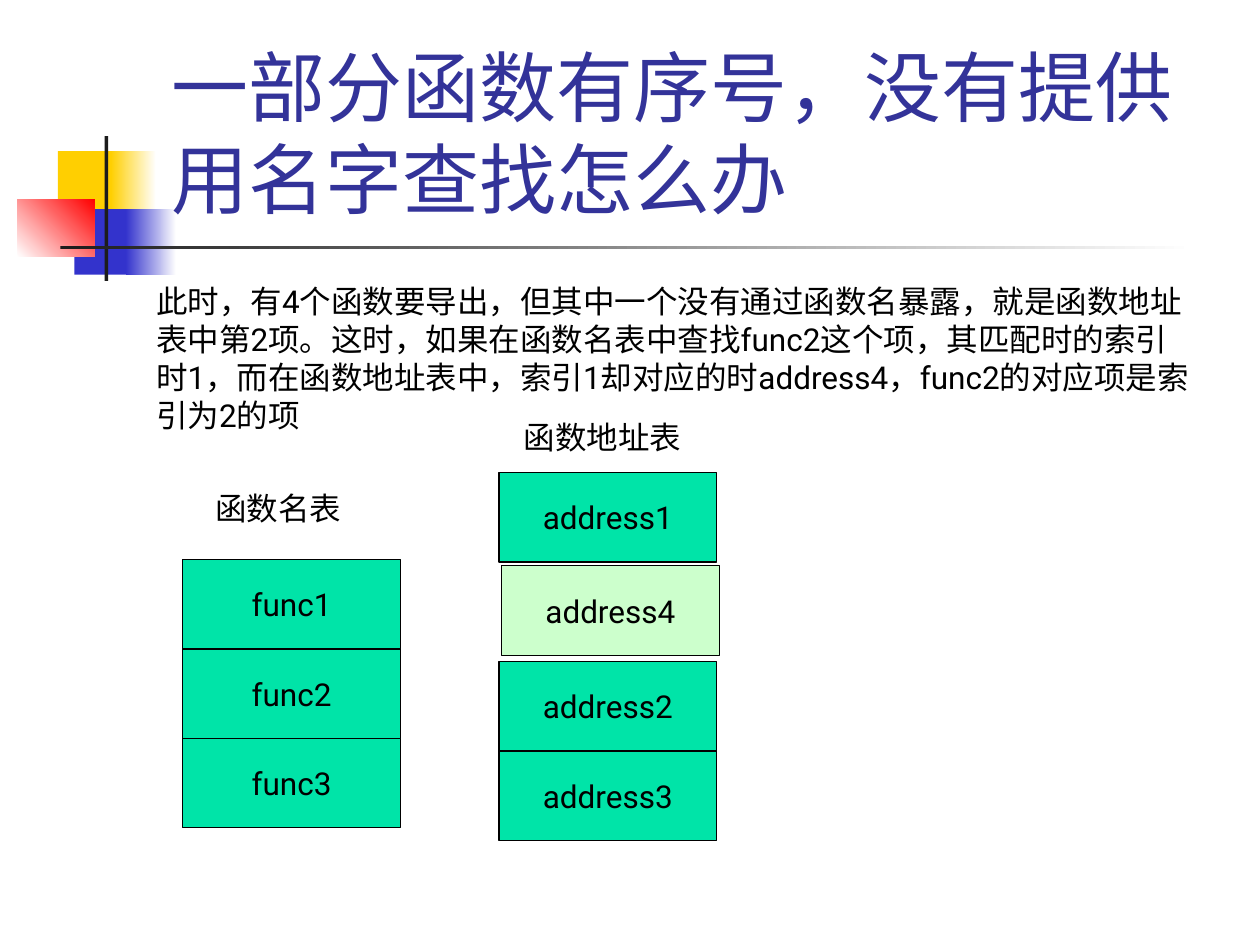
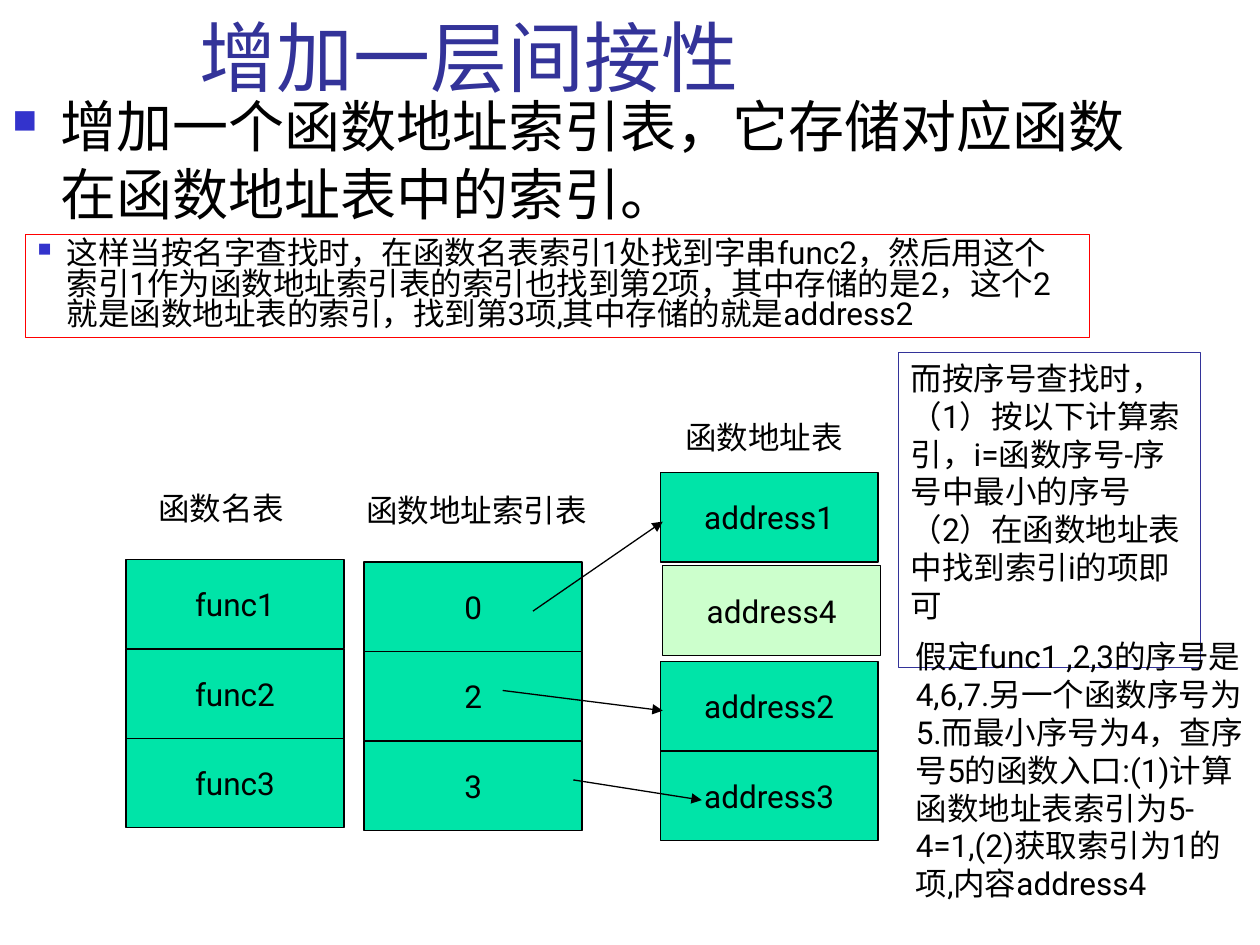
from dataclasses import dataclass
from typing import NamedTuple

from lxml import etree
from pptx import Presentation
from pptx.dml.color import RGBColor
from pptx.enum.lang import MSO_LANGUAGE_ID as Lang
from pptx.enum.shapes import MSO_CONNECTOR as Conn, MSO_SHAPE as Shape
from pptx.enum.text import MSO_ANCHOR as Anchor, MSO_AUTO_SIZE as AutoSize, PP_ALIGN as Align
from pptx.oxml.ns import qn
from pptx.util import Emu, Pt

PX = 9144
FONT = "Roboto"
BLACK = RGBColor(0x00, 0x00, 0x00)
WHITE = RGBColor(0xFF, 0xFF, 0xFF)
INK = RGBColor(0x1C, 0x1C, 0x1C)
NAVY = RGBColor(0x33, 0x33, 0x99)
BLUE = RGBColor(0x33, 0x33, 0xCC)
YELLOW = RGBColor(0xFF, 0xCF, 0x01)
RED = RGBColor(0xFF, 0x00, 0x00)
GREEN = RGBColor(0x00, 0xE4, 0xA8)
PALE_GREEN = RGBColor(0xCC, 0xFF, 0xCC)

CELL_W, CELL_H = 173, 71
LINE_W = Pt(0.75)


class Box(NamedTuple):
    x: int
    y: int
    w: int
    h: int


class Band(NamedTuple):
    box: Box
    start: RGBColor
    end: RGBColor | None = None
    angle: int = 0


class Cell(NamedTuple):
    text: str
    dx: int
    y: int
    fill: RGBColor = GREEN


@dataclass
class Column:
    label: str
    label_box: Box
    x: int
    cells: list[Cell]


@dataclass
class Style:
    size: int = 18
    color: RGBColor = BLACK
    align: Align = Align.LEFT
    anchor: Anchor = Anchor.TOP
    wrap: bool = True
    before: float = 0
    spacing: float = 1.0
    indent: int = 0


BANDS = [
    Band(Box(46, 120, 48, 52), YELLOW),
    Band(Box(88, 120, 36, 52), YELLOW, WHITE),
    Band(Box(59, 166, 46, 52), BLUE),
    Band(Box(100, 166, 40, 52), BLUE, WHITE),
    Band(Box(14, 158, 61, 46), WHITE, RED, 45),
    Band(Box(83, 108, 3, 115), INK),
    Band(Box(48, 195, 900, 3), INK, WHITE),
]
TITLE = Style(size=44, color=NAVY, anchor=Anchor.BOTTOM)
CELL = Style(align=Align.CENTER, anchor=Anchor.MIDDLE, wrap=False)
BODY = Style()


def emu(*lengths: int) -> list[Emu]:
    return [Emu(n * PX) for n in lengths]


def set_attrs(obj, values: dict) -> None:
    for name, value in values.items():
        setattr(obj, name, value)


def add_bullet(p, indent: int) -> None:
    pPr = p._p.get_or_add_pPr()
    pPr.set("marL", str(indent * PX))
    pPr.set("indent", str(-indent * PX))
    color = etree.SubElement(pPr, qn("a:buClr"))
    etree.SubElement(color, qn("a:srgbClr"), val=str(BLUE))
    etree.SubElement(pPr, qn("a:buSzPct"), val="60000")
    etree.SubElement(pPr, qn("a:buChar"), char="■")


def write(sp, paragraphs: list[str], style: Style) -> None:
    tf = sp.text_frame
    side, edge = emu(10, 5)
    set_attrs(tf, {
        "auto_size": AutoSize.NONE, "word_wrap": style.wrap,
        "vertical_anchor": style.anchor,
        "margin_left": side, "margin_right": side,
        "margin_top": edge, "margin_bottom": edge,
    })
    for i, text in enumerate(paragraphs):
        p = tf.add_paragraph() if i else tf.paragraphs[0]
        set_attrs(p, {"alignment": style.align, "space_before": Pt(style.before),
                      "line_spacing": style.spacing})
        if style.indent:
            add_bullet(p, style.indent)
        r = p.add_run()
        r.text = text
        set_attrs(r.font, {"name": FONT, "size": Pt(style.size),
                           "language_id": Lang.SIMPLIFIED_CHINESE})
        r.font.color.rgb = style.color
        etree.SubElement(r.font._element, qn("a:ea"), typeface=FONT)


def add_title(s, text: str, box: Box) -> None:
    sp = s.shapes.title
    set_attrs(sp, dict(zip(("left", "top", "width", "height"), emu(*box))))
    write(sp, [text], TITLE)
    s.shapes.element.append(sp.element)


def add_text(s, box: Box, text: str, style: Style = BODY) -> None:
    write(s.shapes.add_textbox(*emu(*box)), [text], style)


def add_rect(s, box: Box, fill: RGBColor | None, line: RGBColor | None):
    sp = s.shapes.add_shape(Shape.RECTANGLE, *emu(*box))
    sp.shadow.inherit = False
    if fill is None:
        sp.fill.background()
    else:
        sp.fill.solid()
        sp.fill.fore_color.rgb = fill
    if line is None:
        sp.line.fill.background()
    else:
        sp.line.color.rgb = line
        sp.line.width = LINE_W
    return sp


def add_band(s, band: Band) -> None:
    sp = add_rect(s, band.box, band.start, None)
    if band.end is not None:
        sp.fill.gradient()
        sp.fill.gradient_angle = band.angle
        for stop, color in zip(sp.fill.gradient_stops, (band.start, band.end)):
            stop.color.rgb = color


def add_column(s, column: Column) -> None:
    add_text(s, column.label_box, column.label)
    for cell in column.cells:
        box = Box(column.x + cell.dx, cell.y, CELL_W, CELL_H)
        write(add_rect(s, box, cell.fill, BLACK), [cell.text], CELL)


def add_arrow(s, x1: int, y1: int, x2: int, y2: int) -> None:
    line = s.shapes.add_connector(Conn.STRAIGHT, *emu(x1, y1, x2, y2))
    line.line.color.rgb = BLACK
    line.line.width = LINE_W
    etree.SubElement(line.line._get_or_add_ln(), qn("a:tailEnd"), type="triangle")
    etree.SubElement(line._element.spPr, qn("a:effectLst"))


def stack(texts: list[str], top: int) -> list[Cell]:
    return [Cell(text, 0, top + i * CELL_H) for i, text in enumerate(texts)]


def name_table(x: int) -> Column:
    return Column("函数名表", Box(x + 16, 383, 150, 40), x,
                  stack(["func1", "func2", "func3"], 444))


def address_table(x: int) -> Column:
    cells = [Cell("address1", 0, 375), *stack(["address2", "address3"], 525),
             Cell("address4", 2, 449, PALE_GREEN)]
    return Column("函数地址表", Box(x + 10, 327, 150, 40), x, cells)


def index_table(x: int) -> Column:
    return Column("函数地址索引表", Box(x - 8, 385, 205, 40), x,
                  stack(["0", "2", "3"], 446))


def build_problem_slide(s) -> None:
    for band in BANDS:
        add_band(s, band)
    add_text(s, Box(114, 219, 843, 130),
             "此时，有4个函数要导出，但其中一个没有通过函数名暴露，就是函数地址表中第2项。"
             "这时，如果在函数名表中查找func2这个项，其匹配时的索引时1，"
             "而在函数地址表中，索引1却对应的时address4，func2的对应项是索引为2的项")
    add_title(s, "一部分函数有序号，没有提供用名字查找怎么办", Box(126, 23, 852, 160))
    for column in (address_table(396), name_table(145)):
        add_column(s, column)


def build_solution_slide(s) -> None:
    add_title(s, "增加一层间接性", Box(148, -74, 852, 160))
    add_text(s, Box(0, 68, 913, 178),
             "增加一个函数地址索引表，它存储对应函数在函数地址表中的索引。",
             Style(size=32, before=8, indent=38))
    for column in (address_table(524), name_table(100), index_table(289)):
        add_column(s, column)
    for ends in ((423, 485, 526, 414), (399, 548, 526, 564), (455, 619, 557, 635)):
        add_arrow(s, *ends)
    by_ordinal = add_rect(s, Box(713, 280, 240, 250), None, NAVY)
    write(by_ordinal, ["而按序号查找时，（1）按以下计算索引，i=函数序号-序号中最小的序号",
                       "（2）在函数地址表中找到索引i的项即可"], BODY)
    add_text(s, Box(717, 501, 280, 249),
             "假定func1 ,2,3的序号是4,6,7.另一个函数序号为5.而最小序号为4，"
             "查序号5的函数入口:(1)计算函数地址表索引为5-4=1,(2)获取索引为1的项,内容address4")
    by_name = add_rect(s, Box(20, 186, 845, 82), None, RED)
    write(by_name, ["这样当按名字查找时，在函数名表索引1处找到字串func2，"
                    "然后用这个索引1作为函数地址索引表的索引也找到第2项，其中存储的是2，"
                    "这个2就是函数地址表的索引，找到第3项,其中存储的就是address2"],
          Style(before=4.5, spacing=0.8, indent=23))


def main() -> None:
    prs = Presentation()
    prs.slide_width, prs.slide_height = emu(1000, 750)
    title_only = prs.slide_layouts[5]
    for build in (build_problem_slide, build_solution_slide):
        build(prs.slides.add_slide(title_only))
    prs.save("out.pptx")


if __name__ == "__main__":
    main()
